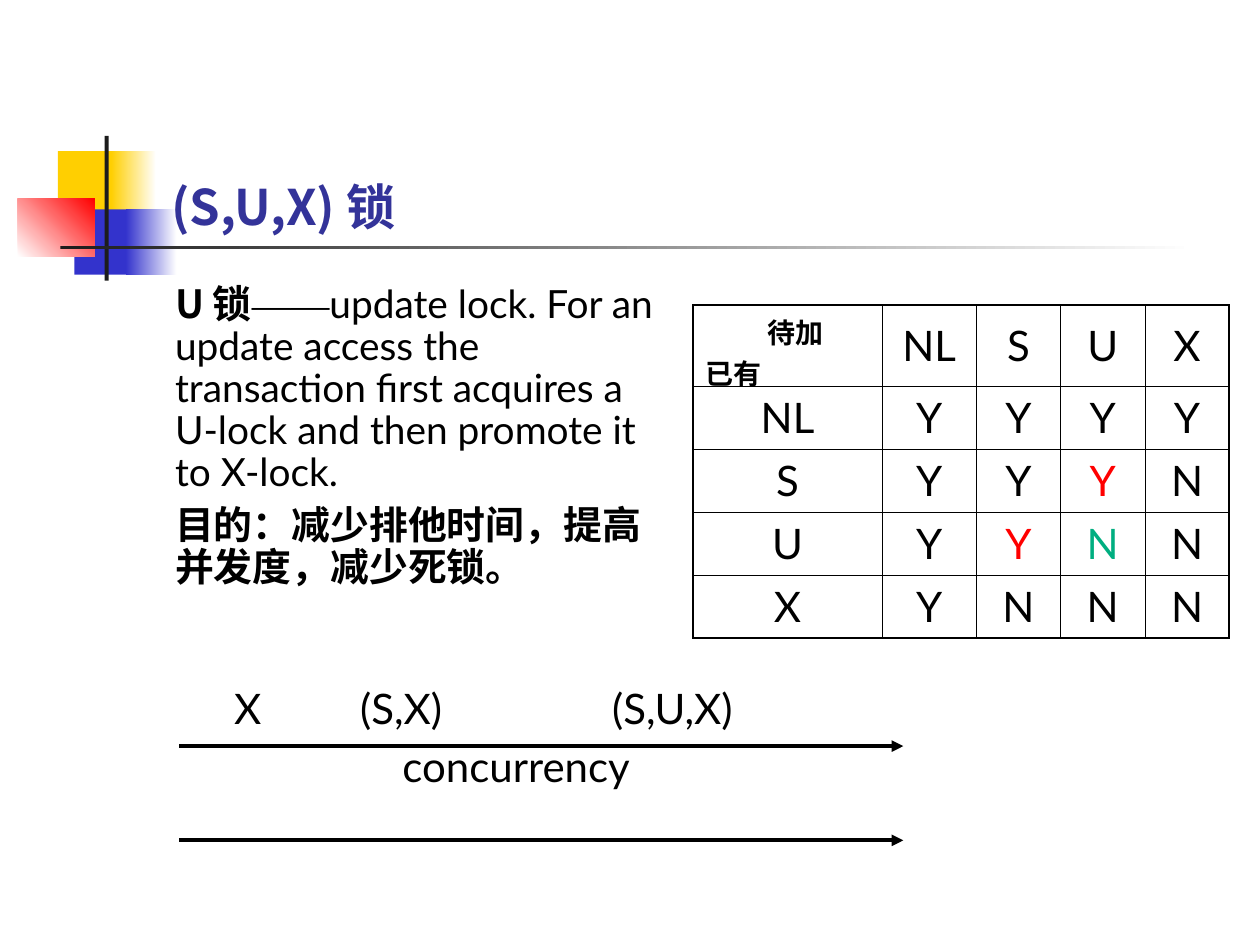
from lxml.etree import SubElement
from pptx import Presentation
from pptx.dml.color import RGBColor
from pptx.enum.shapes import MSO_CONNECTOR as Link, MSO_SHAPE as Preset
from pptx.enum.text import MSO_ANCHOR as Anchor, MSO_AUTO_SIZE as AutoSize, PP_ALIGN as Align
from pptx.oxml.ns import qn
from pptx.util import Cm, Pt

LATIN, HAN, SERIF = "Lato", "Noto Sans CJK SC", "Times New Roman"
BLACK, WHITE, RED, GREEN = "000000", "FFFFFF", "FF0000", "00AE80"
YELLOW, BLUE, CHARCOAL, TITLE_BLUE = "FFCF01", "3333CC", "1C1C1C", "333399"


def color(hex_text):
    return RGBColor.from_string(hex_text)


class LockSlide:
    def __init__(self, deck):
        self.slide = deck.slides.add_slide(deck.slide_layouts[5])
        self.shapes = self.slide.shapes

    def run(self, paragraph, text, size, font=LATIN, tint=BLACK, bold=False):
        run = paragraph.add_run()
        run.text = text
        run.font.name, run.font.size, run.font.bold = font, Pt(size), bold
        run.font.color.rgb = color(tint)
        SubElement(run.font._element, qn("a:ea")).set("typeface", font)

    def block(self, left, top, width, height, start, end=None, angle=0):
        block = self.shapes.add_shape(Preset.RECTANGLE, Cm(left), Cm(top), Cm(width), Cm(height))
        block.shadow.inherit = False
        block.line.fill.background()
        if end is None:
            block.fill.solid()
            block.fill.fore_color.rgb = color(start)
            return
        block.fill.gradient()
        block.fill.gradient_angle = angle
        for stop, tint in zip(block.fill.gradient_stops, (start, end)):
            stop.color.rgb = color(tint)

    def title(self, left, top, width, height, text):
        title = self.shapes.title
        title.left, title.top, title.width, title.height = Cm(left), Cm(top), Cm(width), Cm(height)
        frame = title.text_frame
        frame.auto_size = AutoSize.NONE
        frame.vertical_anchor = Anchor.BOTTOM
        frame.paragraphs[0].alignment = Align.LEFT
        self.run(frame.paragraphs[0], text, 28, HAN, TITLE_BLUE, True)
        # Bring the title in front of the ornament
        self.shapes._spTree.append(title._element)

    def text_box(self, left, top, width, height, wrap=True):
        frame = self.shapes.add_textbox(Cm(left), Cm(top), Cm(width), Cm(height)).text_frame
        frame.word_wrap = wrap
        return frame

    def label(self, left, top, width, text, align=Align.LEFT, tabs=()):
        paragraph = self.text_box(left, top, width, 1.27, False).paragraphs[0]
        if tabs:
            tab_list = SubElement(paragraph._p.get_or_add_pPr(), qn("a:tabLst"))
            for position in tabs:
                SubElement(tab_list, qn("a:tab"), pos=str(Cm(position)), algn="l")
        paragraph.alignment = align
        self.run(paragraph, text, 24)

    def arrow(self, left, right, y):
        arrow = self.shapes.add_connector(Link.STRAIGHT, Cm(left), Cm(y), Cm(right), Cm(y))
        arrow.line.color.rgb = color(BLACK)
        arrow.line.width = Pt(2.25)
        SubElement(arrow.line._get_or_add_ln(), qn("a:tailEnd"), type="triangle")
        SubElement(arrow._element.spPr, qn("a:effectLst"))

    def table(self, left, top, columns, rows):
        table = self.shapes.add_table(len(rows), len(columns), Cm(left), Cm(top),
                                      Cm(sum(columns)), Cm(sum(rows))).table
        table.first_row = table.horz_banding = False
        for column, width in zip(table.columns, columns):
            column.width = Cm(width)
        for row, height in zip(table.rows, rows):
            row.height = Cm(height)
        return table

    def borders(self, cell, outer):
        properties = cell._tc.get_or_add_tcPr()
        for side in "LRTB":
            width = Pt(1.08 if side in outer else 0.45)
            border = SubElement(properties, qn(f"a:ln{side}"), w=str(width))
            fill = SubElement(border, qn("a:solidFill"))
            SubElement(fill, qn("a:srgbClr"), val=BLACK)
        cell.fill.background()
        cell.vertical_anchor = Anchor.MIDDLE


def main():
    deck = Presentation()
    deck.slide_width, deck.slide_height = Cm(25.4), Cm(19.05)
    page = LockSlide(deck)

    # Corner ornament and title rule
    page.block(1.17, 3.05, 1.22, 1.32, YELLOW)
    page.block(2.24, 3.05, 0.91, 1.32, YELLOW, WHITE)
    page.block(1.5, 4.22, 1.17, 1.32, BLUE)
    page.block(2.54, 4.22, 1.02, 1.32, BLUE, WHITE)
    page.block(0.36, 4.01, 1.55, 1.17, WHITE, RED, 45)
    page.block(2.11, 2.74, 0.08, 2.92, CHARCOAL)
    page.block(1.22, 4.95, 22.86, 0.08, CHARCOAL, WHITE)
    page.title(3.2, 1.7, 21.64, 3.18, "(S,U,X) 锁")

    # Explanation of the U lock
    explanation = page.text_box(3.28, 5.61, 10.26, 7.72)
    definition, purpose = explanation.paragraphs[0], explanation.add_paragraph()
    definition.line_spacing = purpose.line_spacing = Pt(24)
    purpose.space_before = Pt(6)
    page.run(definition, "U 锁", 22.2, HAN, bold=True)
    page.run(definition, "——", 22.2, SERIF)
    page.run(definition, "update lock. For an update access the transaction first "
             "acquires a U-lock and then promote it to X-lock.", 22.2)
    page.run(purpose, "目的：减少排他时间，提高并发度，减少死锁。", 22.2, HAN, bold=True)

    # Compatibility matrix
    modes = ["NL", "S", "U", "X"]
    compatibility = ["YYYY", "YYYN", "YYNN", "YNNN"]
    highlights = {(2, 3): RED, (3, 2): RED, (3, 3): GREEN}
    grid = [["", *modes]] + [[mode, *marks] for mode, marks in zip(modes, compatibility)]
    matrix = page.table(13.97, 6.15, [3.81, 1.9, 1.7, 1.7, 1.7], [1.63] + [1.27] * 4)
    last = len(modes)
    for r, row in enumerate(grid):
        for c, mark in enumerate(row):
            cell = matrix.cell(r, c)
            edges = {"L": c == 0, "R": c == last, "T": r == 0, "B": r == last}
            page.borders(cell, [side for side, outer in edges.items() if outer])
            if mark:
                entry = cell.text_frame.paragraphs[0]
                entry.alignment = Align.CENTER
                page.run(entry, mark, 24, tint=highlights.get((r, c), BLACK))

    # Corner cell: requested lock above, held lock below
    corner = matrix.cell(0, 0).text_frame
    requested, held = corner.paragraphs[0], corner.add_paragraph()
    requested._p.get_or_add_pPr().set("marL", str(Cm(1.24)))
    page.run(requested, "待加", 16, HAN, bold=True)
    page.run(held, "已有", 16, HAN, bold=True)

    # Concurrency scale
    for y in (15.04, 16.94):
        page.arrow(3.61, 18.21, y)
    page.label(4.47, 13.64, 10.67, "X\t(S,X)\t\t(S,U,X)", tabs=[2.54 * n for n in range(1, 4)])
    page.label(7.7, 14.81, 5.41, "concurrency", Align.CENTER)

    deck.save("out.pptx")


if __name__ == "__main__":
    main()
